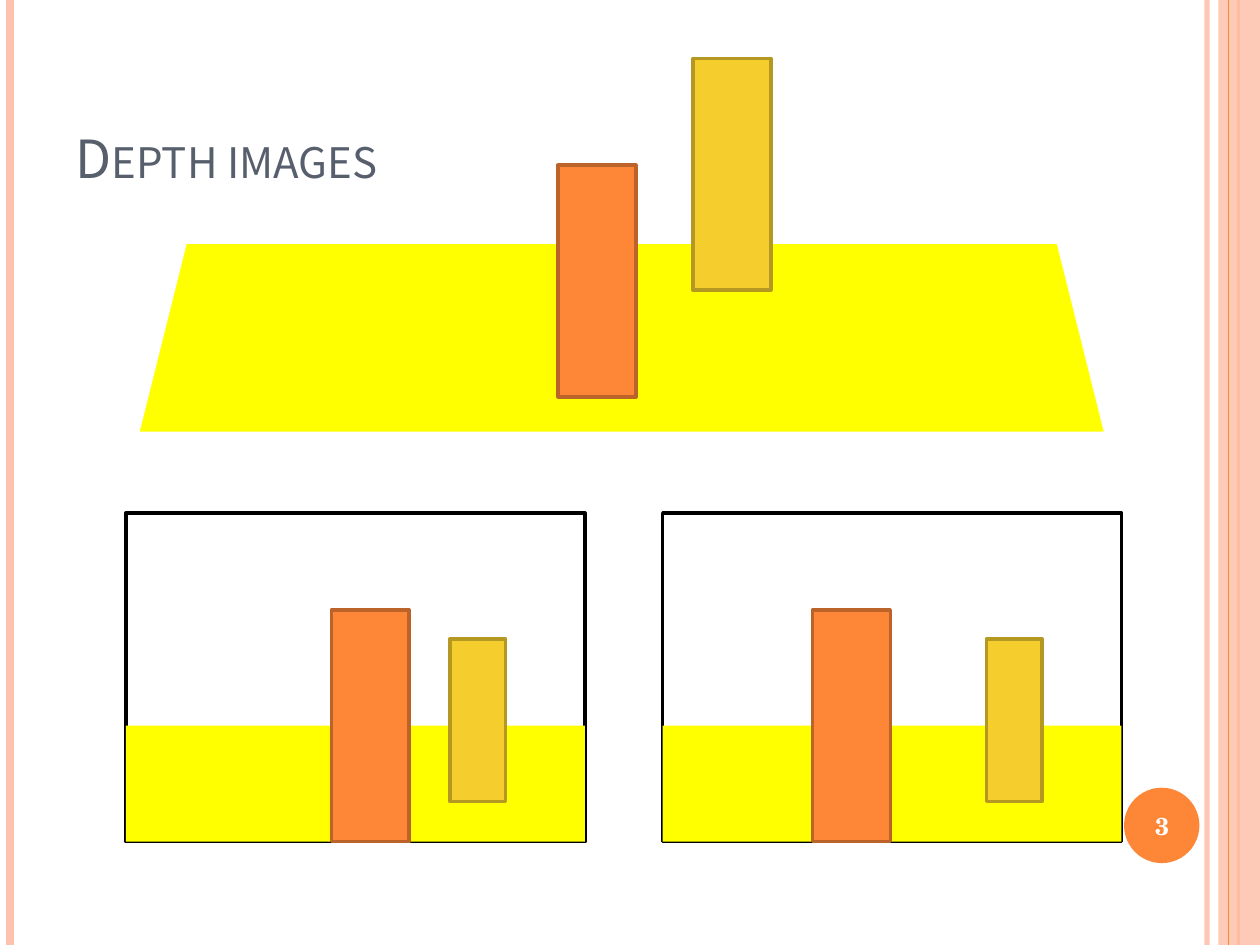
from typing import NamedTuple, Optional

from lxml.etree import SubElement
from pptx import Presentation
from pptx.dml.color import RGBColor
from pptx.enum.shapes import MSO_CONNECTOR, MSO_SHAPE as Shape
from pptx.enum.text import MSO_ANCHOR, PP_ALIGN
from pptx.oxml.ns import qn
from pptx.util import Cm, Pt

PAGE_WIDTH, PAGE_HEIGHT = 25.4, 19.05
ORANGE, PEACH, YELLOW, GOLD = "FE8637", "FEC3AE", "FFFF00", "F5CD2D"


class Style(NamedTuple):
    fill: str
    line: Optional[str] = None
    alpha: int = 100


class Box(NamedTuple):
    left: float
    top: float
    width: float
    height: float


class Stripe(NamedTuple):
    x: float
    color: str
    weight: float
    alpha: int = 100


class View(NamedTuple):
    left: float
    near_offset: float


NEAR = Style(ORANGE, "BC6329")
FAR = Style(GOLD, "B59821")
FLOOR = Style(YELLOW)
FRAME = Style("FFFFFF", "000000")

BACK_STRIPES = [
    Stripe(24.33, PEACH, 3, 93),
    Stripe(0.2, PEACH, 4.5),
    Stripe(24.97, ORANGE, 1.5),
]
FRONT_STRIPE = Stripe(24.77, ORANGE, 0.75)
VIEWS = [View(2.54, 4.14), View(13.36, 3.02)]
VIEW_TOP, VIEW_WIDTH, VIEW_HEIGHT = 10.34, 9.25, 6.63
FLOOR_HEIGHT = 2.34
PILLAR_WIDTH, PILLAR_HEIGHT = 1.57, 4.67


def paint(target, color: str, alpha: int = 100) -> None:
    """Give a fill or line format a solid colour, transparent below alpha 100."""
    fill = getattr(target, "fill", target)
    fill.solid()
    fill.fore_color.rgb = RGBColor.from_string(color)
    if alpha < 100:
        value = fill._xPr.find(qn("a:solidFill"))[0]
        SubElement(value, qn("a:alpha")).set("val", str(alpha * 1000))


def add_stripe(shapes, stripe: Stripe) -> None:
    line = shapes.add_connector(
        MSO_CONNECTOR.STRAIGHT, Cm(stripe.x), 0, Cm(stripe.x), Cm(PAGE_HEIGHT))
    line.line.width = Pt(stripe.weight)
    paint(line.line, stripe.color, stripe.alpha)
    SubElement(line._element.spPr, qn("a:effectLst"))


def draw(shapes, box: Box, style: Style, kind=Shape.RECTANGLE) -> None:
    shape = shapes.add_shape(kind, *map(Cm, box))
    shape.shadow.inherit = False
    paint(shape.fill, style.fill, style.alpha)
    if style.line:
        shape.line.width = Pt(2)
        paint(shape.line, style.line)
    else:
        shape.line.fill.background()


def add_span(para, text: str, font: str, size: float, color: str):
    span = para.add_run()
    span.text = text
    span.font.name = font
    span.font.size = Pt(size)
    span.font.color.rgb = RGBColor.from_string(color)
    return span


def add_view(page, view: View) -> None:
    """Draw one camera view of the two pillars as a group."""
    shapes = page.shapes.add_group_shape().shapes
    bottom = VIEW_TOP + VIEW_HEIGHT
    draw(shapes, Box(view.left, VIEW_TOP, VIEW_WIDTH, VIEW_HEIGHT), FRAME)
    draw(shapes, Box(view.left, bottom - FLOOR_HEIGHT, VIEW_WIDTH, FLOOR_HEIGHT), FLOOR)
    draw(shapes, Box(view.left + view.near_offset, bottom - PILLAR_HEIGHT,
                     PILLAR_WIDTH, PILLAR_HEIGHT), NEAR)
    draw(shapes, Box(view.left + 6.53, 12.88, 1.12, 3.28), FAR)


def add_title(page) -> None:
    title = page.shapes.title
    title.left, title.top, title.width, title.height = map(
        Cm, Box(1.27, 0.76, 20.75, 3.18))
    title.text_frame.vertical_anchor = MSO_ANCHOR.BOTTOM
    para = title.text_frame.paragraphs[0]
    para.alignment = PP_ALIGN.LEFT
    span = add_span(para, "Depth images", "Noto Sans CJK SC", 30, "575F6D")
    span.font._element.set("cap", "small")


def add_page_number(page) -> None:
    draw(page.shapes, Box(22.66, 15.88, 1.52, 1.52), Style(ORANGE), Shape.OVAL)
    box = page.shapes.add_textbox(*map(Cm, Box(22.58, 15.93, 1.7, 1.45)))
    box.text_frame.word_wrap = True
    box.text_frame.vertical_anchor = MSO_ANCHOR.MIDDLE
    para = box.text_frame.paragraphs[0]
    para.alignment = PP_ALIGN.CENTER
    add_span(para, "3", "TeX Gyre Schola", 14, "FFFFFF").font.bold = True


def main() -> None:
    deck = Presentation()
    deck.slide_width, deck.slide_height = Cm(PAGE_WIDTH), Cm(PAGE_HEIGHT)
    page = deck.slides.add_slide(deck.slide_layouts[5])

    for stripe in BACK_STRIPES:
        add_stripe(page.shapes, stripe)
    draw(page.shapes, Box(24.56, 0, 0.84, PAGE_HEIGHT), Style(PEACH, alpha=87))
    add_stripe(page.shapes, FRONT_STRIPE)
    add_title(page)
    add_page_number(page)

    for view in VIEWS:
        add_view(page, view)
    draw(page.shapes, Box(2.82, 4.92, 19.43, 3.78), FLOOR, Shape.TRAPEZOID)
    draw(page.shapes, Box(11.25, 3.33, PILLAR_WIDTH, PILLAR_HEIGHT), NEAR)
    draw(page.shapes, Box(13.97, 1.18, PILLAR_WIDTH, PILLAR_HEIGHT), FAR)

    deck.save("out.pptx")


if __name__ == "__main__":
    main()
